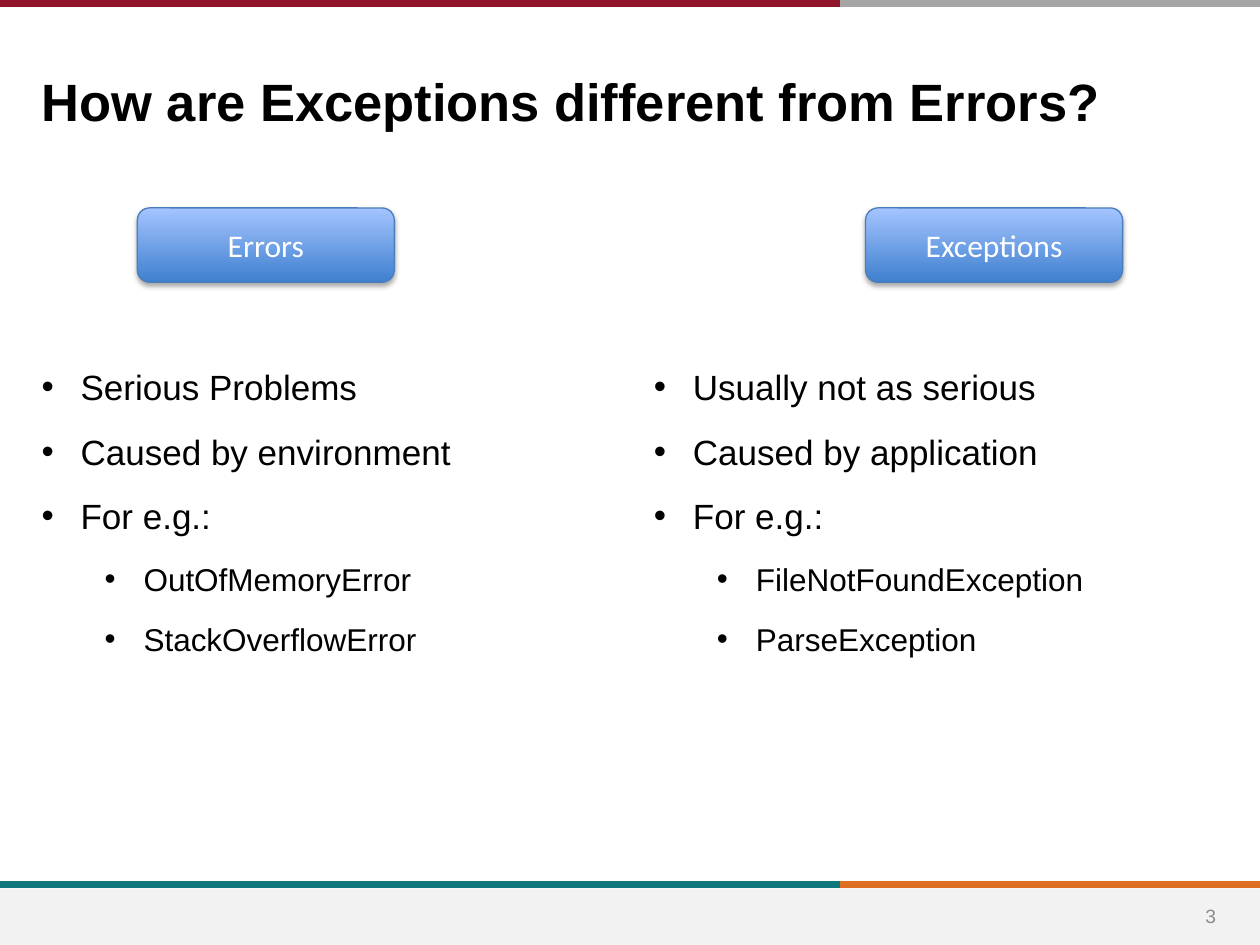
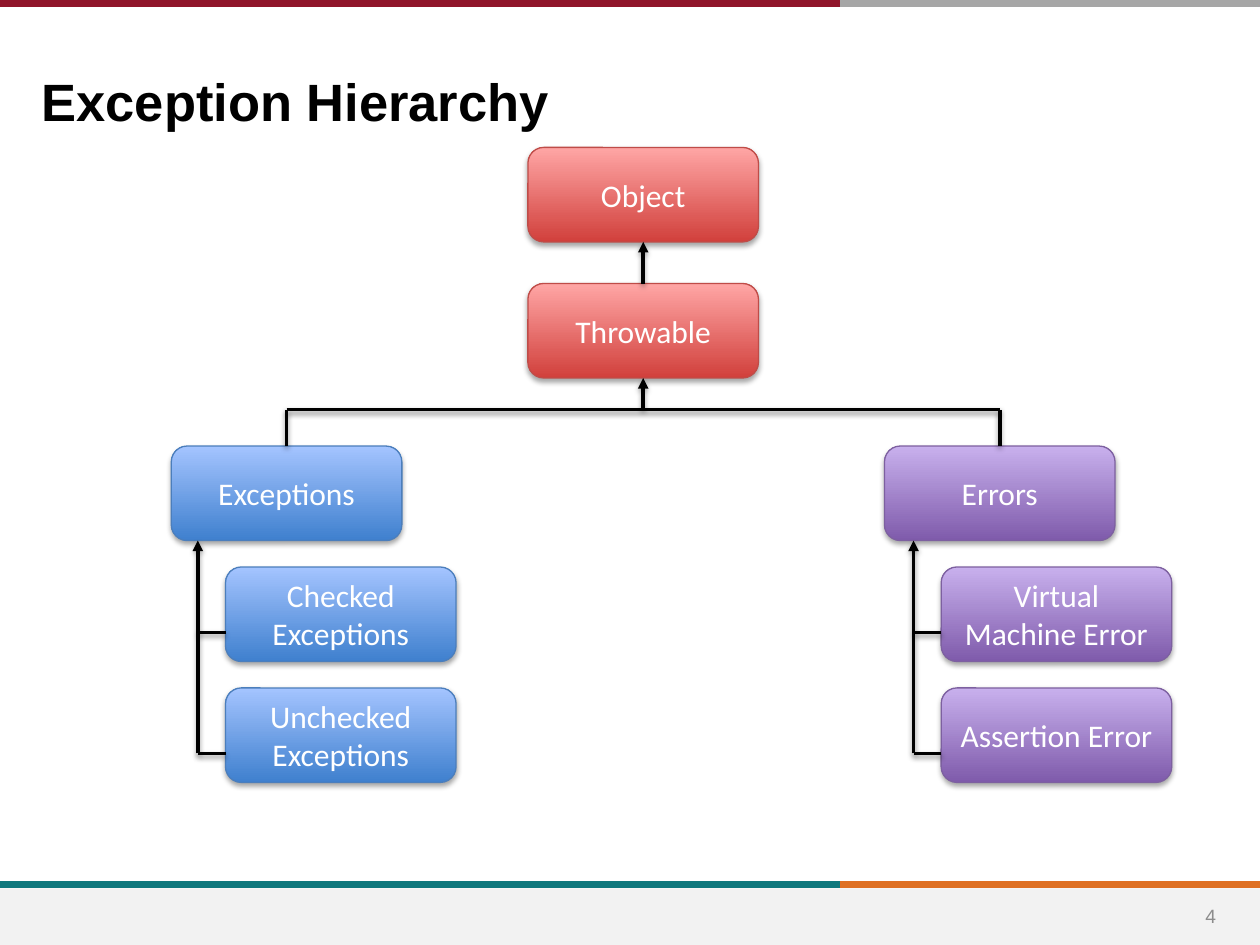
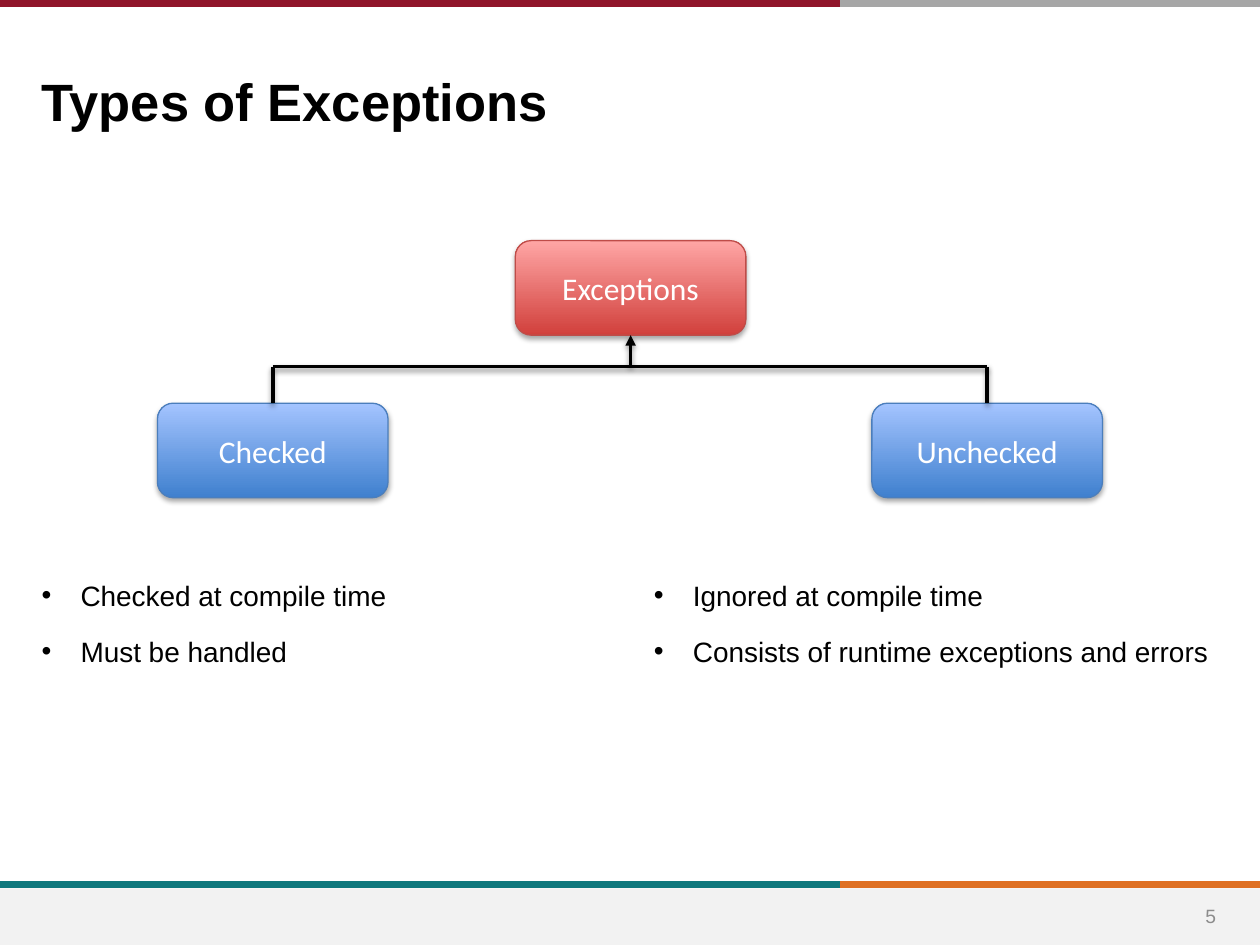
from dataclasses import dataclass
from typing import NamedTuple

from lxml import etree
from pptx import Presentation
from pptx.dml.color import RGBColor
from pptx.enum.shapes import MSO_CONNECTOR, MSO_SHAPE
from pptx.enum.text import MSO_ANCHOR, PP_ALIGN
from pptx.oxml.ns import qn
from pptx.shapes.base import BaseShape
from pptx.slide import Slide
from pptx.text.text import TextFrame
from pptx.util import Inches, Pt


class Tone(NamedTuple):
    dark: str
    light: str
    border: str


@dataclass(frozen=True)
class Theme:
    text_font: str = "Arial"
    box_font: str = "Calibri"
    title_size: int = 30
    box_size: int = 18
    number_size: int = 11
    ink: str = "000000"
    box_text: str = "FFFFFF"
    number_text: str = "8C8C8C"
    footer: str = "F2F2F2"
    crimson: str = "90152A"
    gray: str = "A6A6A6"
    teal: str = "0F787D"
    orange: str = "DF7023"
    blue: Tone = Tone("3F80CE", "A4C4FF", "4B7EBC")
    red: Tone = Tone("D1403C", "FFA6A5", "BF4C48")
    purple: Tone = Tone("7F5BAB", "C8B0ED", "7D60A0")


THEME = Theme()
SLIDE_W, SLIDE_H = 10, 7.5
BAND_SPLIT = 6.67
COLUMN_LEFTS = (0.25, 5.11)
COLUMN_W = 4.64


@dataclass(frozen=True)
class Node:
    label: str
    left: float
    top: float
    tone: Tone
    width: float = 1.83
    height: float = 0.75

    @property
    def center(self) -> float:
        return self.left + self.width / 2

    @property
    def bottom(self) -> float:
        return self.top + self.height


class Bullet(NamedTuple):
    text: str
    size: int
    level: int = 0


def rgb(value: str) -> RGBColor:
    return RGBColor.from_string(value)


def set_shadow(shape: BaseShape, opacity: int = 0, distance: float = 0) -> None:
    """Replace the inherited shadow; zero opacity leaves none."""
    properties = shape._element.spPr
    effects = etree.SubElement(properties, qn("a:effectLst"))
    if opacity:
        shadow = etree.SubElement(
            effects, qn("a:outerShdw"), blurRad=str(Pt(3.1)),
            dist=str(Pt(distance)), dir="5400000", rotWithShape="0")
        color = etree.SubElement(shadow, qn("a:srgbClr"), val=THEME.ink)
        etree.SubElement(color, qn("a:alpha"), val=str(opacity * 1000))


def add_line(slide: Slide, x1: float, y1: float, x2: float, y2: float,
             color: str, width: float) -> BaseShape:
    line = slide.shapes.add_connector(
        MSO_CONNECTOR.STRAIGHT, Inches(x1), Inches(y1), Inches(x2), Inches(y2))
    line.line.color.rgb = rgb(color)
    line.line.width = Pt(width)
    return line


def add_link(slide: Slide, x1: float, y1: float, x2: float, y2: float,
             arrow: bool = False) -> None:
    link = add_line(slide, x1, y1, x2, y2, THEME.ink, 2)
    if arrow:
        etree.SubElement(link.line._get_or_add_ln(), qn("a:tailEnd"), type="triangle")
    set_shadow(link, 38, 1.6)


def add_text_frame(slide: Slide, left: float, top: float, width: float,
                   height: float, inset_top: float) -> TextFrame:
    frame = slide.shapes.add_textbox(
        Inches(left), Inches(top), Inches(width), Inches(height)).text_frame
    frame.word_wrap = True
    frame.margin_left = frame.margin_right = Inches(0.08)
    frame.margin_top = Inches(inset_top)
    frame.margin_bottom = Inches(0.04)
    return frame


def write(frame: TextFrame, text: str, font: str, size: int, color: str,
          bold: bool = False, align: PP_ALIGN = PP_ALIGN.LEFT) -> None:
    paragraph = frame.paragraphs[0]
    paragraph.text = text
    paragraph.alignment = align
    paragraph.font.name = font
    paragraph.font.size = Pt(size)
    paragraph.font.bold = bold
    paragraph.font.color.rgb = rgb(color)


def add_node(slide: Slide, node: Node) -> None:
    box = slide.shapes.add_shape(
        MSO_SHAPE.ROUNDED_RECTANGLE, Inches(node.left), Inches(node.top),
        Inches(node.width), Inches(node.height))
    box.fill.gradient()
    box.fill.gradient_angle = 90
    for stop, color in zip(box.fill.gradient_stops, (node.tone.dark, node.tone.light)):
        stop.color.rgb = rgb(color)
    box.line.color.rgb = rgb(node.tone.border)
    box.line.width = Pt(0.75)
    set_shadow(box, 35, 1.8)
    box.text_frame.vertical_anchor = MSO_ANCHOR.MIDDLE
    write(box.text_frame, node.label, THEME.box_font, THEME.box_size,
          THEME.box_text, align=PP_ALIGN.CENTER)


def add_fork(slide: Slide, parent: Node, children: tuple[Node, Node]) -> None:
    """Join two children to the parent above them by a shared bar."""
    bar = parent.bottom + 0.25
    add_link(slide, parent.center, bar, parent.center, parent.bottom, arrow=True)
    for child in children:
        add_link(slide, child.center, child.top, child.center, bar)
    add_link(slide, children[0].center, bar, children[1].center, bar)


def add_branch(slide: Slide, parent: Node, labels: tuple[str, str],
               left: float) -> None:
    """Hang indented children from a trunk below the parent."""
    trunk = left - 0.22
    children = [Node(label, left, parent.top + 0.96 * step, parent.tone)
                for step, label in enumerate(labels, start=1)]
    joint = 0.52
    add_link(slide, trunk, children[-1].top + joint, trunk, parent.bottom, arrow=True)
    for child in children:
        add_node(slide, child)
        add_link(slide, left, child.top + joint, trunk, child.top + joint)


def add_bullets(slide: Slide, left: float, top: float, height: float,
                bullets: list[Bullet]) -> None:
    frame = add_text_frame(slide, left, top, COLUMN_W, height, 0.06)
    for index, bullet in enumerate(bullets):
        paragraph = frame.add_paragraph() if index else frame.paragraphs[0]
        paragraph.text = bullet.text
        paragraph.level = bullet.level
        paragraph.alignment = PP_ALIGN.JUSTIFY
        paragraph.space_before = Pt(1)
        paragraph.space_after = Pt(12)
        paragraph.font.name = THEME.text_font
        paragraph.font.size = Pt(bullet.size)
        paragraph.font.color.rgb = rgb(THEME.ink)
        properties = paragraph._p.get_or_add_pPr()
        properties.set("marL", str(Inches(0.31 + 0.5 * bullet.level)))
        properties.set("indent", str(Inches(-0.31)))
        mark_font = etree.Element(qn("a:buFont"), typeface=THEME.text_font)
        mark = etree.Element(qn("a:buChar"), char="•")
        defaults = properties.find(qn("a:defRPr"))
        defaults.addprevious(mark_font)
        defaults.addprevious(mark)


def add_base_slide(deck: Presentation, title: str, number: int) -> Slide:
    slide = deck.slides.add_slide(deck.slide_layouts[6])
    for y, left_color, right_color in ((7.02, THEME.teal, THEME.orange),
                                       (0.03, THEME.crimson, THEME.gray)):
        for x1, x2, color in ((BAND_SPLIT, SLIDE_W, right_color),
                              (0, BAND_SPLIT, left_color)):
            set_shadow(add_line(slide, x1, y, x2, y, color, 4))
    footer = slide.shapes.add_shape(
        MSO_SHAPE.RECTANGLE, 0, Inches(7.05), Inches(SLIDE_W), Inches(0.45))
    footer.shadow.inherit = False
    footer.fill.solid()
    footer.fill.fore_color.rgb = rgb(THEME.footer)
    footer.line.fill.background()
    number_frame = add_text_frame(slide, 9.35, 7.07, 0.52, 0.4, 0.04)
    number_frame.vertical_anchor = MSO_ANCHOR.MIDDLE
    write(number_frame, str(number), THEME.text_font, THEME.number_size,
          THEME.number_text, align=PP_ALIGN.CENTER)
    write(add_text_frame(slide, 0.25, 0.46, 8.78, 0.59, 0.09), title,
          THEME.text_font, THEME.title_size, THEME.ink, bold=True)
    return slide


def build_comparison(deck: Presentation) -> None:
    slide = add_base_slide(deck, "How are Exceptions different from Errors?", 3)
    for label, left in (("Errors", 1.09), ("Exceptions", 6.87)):
        add_node(slide, Node(label, left, 1.65, THEME.blue, 2.04, 0.59))
    columns = (
        (("Serious Problems", "Caused by environment", "For e.g.:"),
         ("OutOfMemoryError", "StackOverflowError")),
        (("Usually not as serious", "Caused by application", "For e.g.:"),
         ("FileNotFoundException", "ParseException")),
    )
    for left, (points, examples) in zip(COLUMN_LEFTS, columns):
        add_bullets(slide, left, 2.84, 3.82,
                    [Bullet(text, 20) for text in points]
                    + [Bullet(text, 18, 1) for text in examples])


def build_hierarchy(deck: Presentation) -> None:
    slide = add_base_slide(deck, "Exception Hierarchy", 4)
    root = Node("Object", 4.19, 1.17, THEME.red)
    throwable = Node("Throwable", 4.19, 2.25, THEME.red)
    exceptions = Node("Exceptions", 1.36, 3.54, THEME.blue)
    errors = Node("Errors", 7.02, 3.54, THEME.purple)
    for node in (root, throwable, exceptions, errors):
        add_node(slide, node)
    add_link(slide, root.center, throwable.top, root.center, root.bottom, arrow=True)
    add_fork(slide, throwable, (exceptions, errors))
    add_branch(slide, exceptions, ("Checked Exceptions", "Unchecked Exceptions"), 1.79)
    add_branch(slide, errors, ("Virtual Machine Error", "Assertion Error"), 7.47)


def build_types(deck: Presentation) -> None:
    slide = add_base_slide(deck, "Types of Exceptions", 5)
    exceptions = Node("Exceptions", 4.09, 1.91, THEME.red)
    checked = Node("Checked", 1.25, 3.2, THEME.blue)
    unchecked = Node("Unchecked", 6.92, 3.2, THEME.blue)
    for node in (exceptions, checked, unchecked):
        add_node(slide, node)
    add_fork(slide, exceptions, (checked, unchecked))
    columns = (
        ("Checked at compile time", "Must be handled"),
        ("Ignored at compile time", "Consists of runtime exceptions and errors"),
    )
    for left, points in zip(COLUMN_LEFTS, columns):
        add_bullets(slide, left, 4.53, 2.14, [Bullet(text, 16) for text in points])


def main() -> None:
    deck = Presentation()
    deck.slide_width, deck.slide_height = Inches(SLIDE_W), Inches(SLIDE_H)
    build_comparison(deck)
    build_hierarchy(deck)
    build_types(deck)
    deck.save("out.pptx")


if __name__ == "__main__":
    main()
